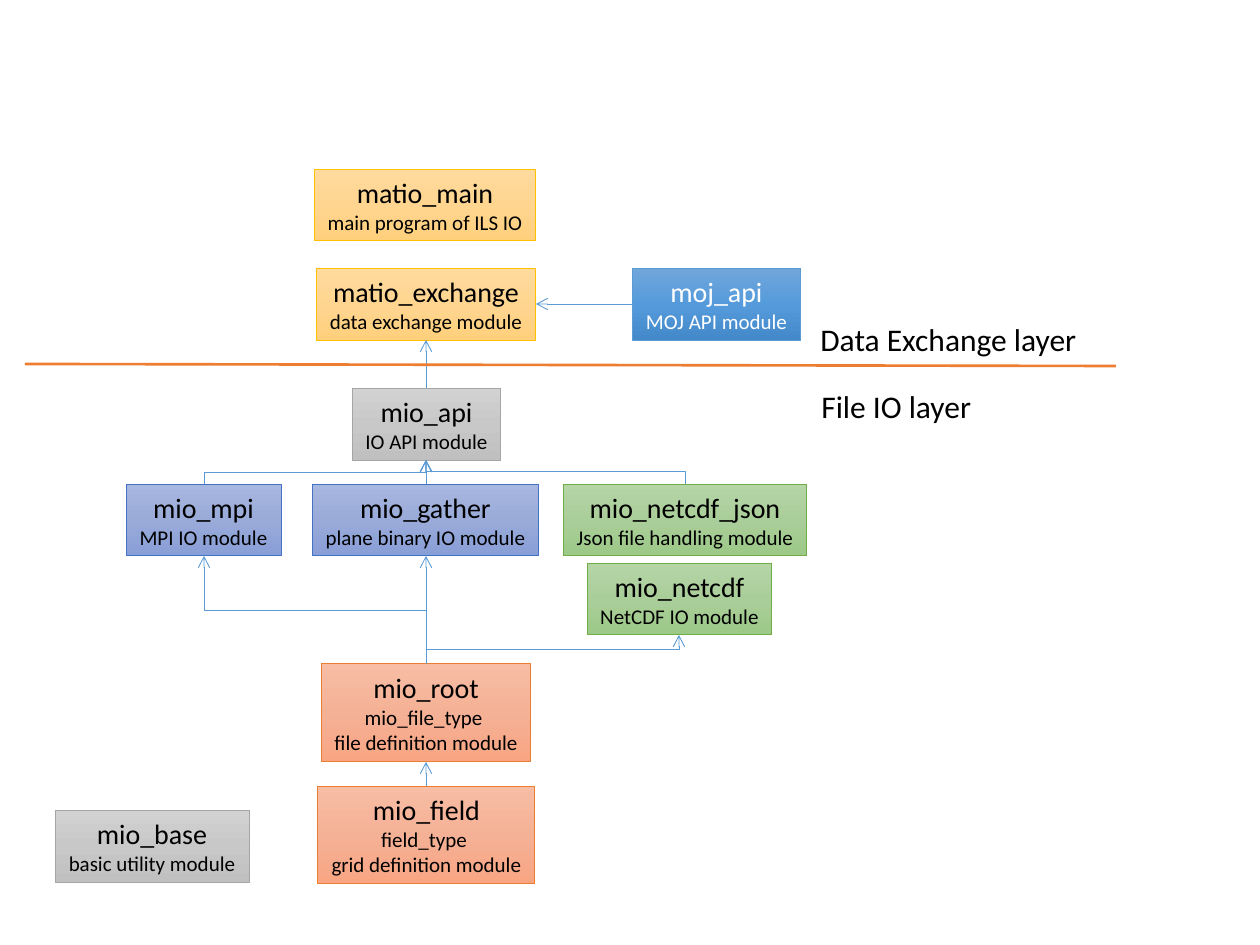
from copy import deepcopy
from dataclasses import dataclass

from lxml.etree import SubElement
from pptx import Presentation
from pptx.dml.color import RGBColor
from pptx.enum.shapes import MSO_CONNECTOR, MSO_SHAPE
from pptx.enum.text import MSO_ANCHOR, MSO_AUTO_SIZE, PP_ALIGN
from pptx.oxml.ns import qn
from pptx.util import Inches, Pt

PIXELS_PER_INCH = 126


@dataclass(frozen=True)
class Palette:
    """Outline, text and gradient colours of one kind of module."""
    outline: str
    gradient: tuple
    text: str = "000000"


class Theme:
    """Colours, font and type sizes of the diagram."""
    font = "Calibri"
    name_size, detail_size, layer_size = 16, 12, 18
    text = "000000"
    arrow, divider = "5B9BD5", "ED7D31"
    thin, thick = 0.5, 1.5
    gray = Palette("A5A5A5", ("D2D2D2", "C8C8C8", "C0C0C0"))
    indigo = Palette("4472C4", ("A8B7DF", "9AABD9", "889ED7"))
    green = Palette("70AD47", ("B5D5A7", "AACE9A", "9CC987"))
    orange = Palette("ED7D31", ("F7BDA5", "F5B196", "F8A582"))
    gold = Palette("FFC000", ("FFDB9E", "FFD590", "FFD07C"))
    blue = Palette("5B9BD5", ("71A6DB", "559BDB", "448ACA"), "FFFFFF")


def scale(pixels):
    """Turn pixels into EMU."""
    return Inches(pixels / PIXELS_PER_INCH)


class Diagram:
    """Draws module boxes, arrows and labels on one slide."""

    def __init__(self, slide, theme):
        self.shapes = slide.shapes
        self.theme = theme

    def set_text(self, shape, lines, sizes, color, alignment):
        """Put one paragraph per line into a shape."""
        frame = shape.text_frame
        frame.text = "\n".join(lines)
        frame.word_wrap = False
        frame.auto_size = MSO_AUTO_SIZE.SHAPE_TO_FIT_TEXT
        for paragraph, size in zip(frame.paragraphs, sizes):
            paragraph.alignment = alignment
            for run in paragraph.runs:
                run.font.name = self.theme.font
                run.font.size = Pt(size)
                run.font.color.rgb = RGBColor.from_string(color)

    def module(self, left, top, width, height, palette, *lines):
        """Draw a module box with its name and description."""
        shape = self.shapes.add_shape(
            MSO_SHAPE.RECTANGLE, *map(scale, (left, top, width, height)))
        shape.shadow.inherit = False
        shape.line.color.rgb = RGBColor.from_string(palette.outline)
        shape.line.width = Pt(self.theme.thin)
        shape.fill.gradient()
        shape.fill.gradient_angle = 270
        stop_list = next(shape.element.iter(qn("a:gsLst")))
        stop_list.insert(1, deepcopy(stop_list[0]))
        for index, stop in enumerate(shape.fill.gradient_stops):
            stop.position = index / 2
            stop.color.rgb = RGBColor.from_string(palette.gradient[index])
        sizes = [self.theme.name_size] + [self.theme.detail_size] * (len(lines) - 1)
        self.set_text(shape, lines, sizes, palette.text, PP_ALIGN.CENTER)
        shape.text_frame.vertical_anchor = MSO_ANCHOR.MIDDLE

    def label(self, left, top, width, height, text):
        """Add a layer name."""
        box = self.shapes.add_textbox(*map(scale, (left, top, width, height)))
        self.set_text(box, [text], [self.theme.layer_size], self.theme.text, PP_ALIGN.LEFT)

    def line(self, start, end, color, width, kind=MSO_CONNECTOR.STRAIGHT):
        """Draw a plain connector."""
        connector = self.shapes.add_connector(kind, *map(scale, (*start, *end)))
        connector.line.color.rgb = RGBColor.from_string(color)
        connector.line.width = Pt(width)
        SubElement(connector.element.spPr, qn("a:effectLst"))
        return connector

    def arrow(self, start, end):
        """Draw an arrow, bent halfway up when it changes column and row."""
        (x1, y1), (x2, y2) = start, end
        style = self.theme.arrow, self.theme.thin
        if x1 == x2 or y1 == y2:
            connector = self.line(start, end, *style)
        else:
            middle_x, middle_y = (x1 + x2) / 2, (y1 + y2) / 2
            run, rise = (x2 - x1) / 2, (y1 - y2) / 2
            connector = self.line((middle_x - rise, middle_y - run),
                                  (middle_x + rise, middle_y + run),
                                  *style, MSO_CONNECTOR.ELBOW)
            connector.element.spPr.find(qn("a:xfrm")).set("rot", "16200000")
        outline = connector.element.spPr.find(qn("a:ln"))
        SubElement(outline, qn("a:tailEnd"), type="arrow")


presentation = Presentation()
presentation.slide_width, presentation.slide_height = Inches(10), Inches(7.5)
slide = presentation.slides.add_slide(presentation.slide_layouts[6])
theme = Theme()
diagram = Diagram(slide, theme)

SHORT, TALL = 72, 98
IO_ROW = 484
for module in (
    (55, 810, 194, SHORT, theme.gray, "mio_base", "basic utility module"),
    (126, IO_ROW, 155, SHORT, theme.indigo, "mio_mpi", "MPI IO module"),
    (312, IO_ROW, 227, SHORT, theme.indigo, "mio_gather", "plane binary IO module"),
    (587, 563, 185, SHORT, theme.green, "mio_netcdf", "NetCDF IO module"),
    (563, IO_ROW, 244, SHORT, theme.green, "mio_netcdf_json", "Json file handling module"),
    (352, 388, 149, SHORT, theme.gray, "mio_api", "IO API module"),
    (318, 786, 217, TALL, theme.orange, "mio_field", "field_type ", "grid definition module"),
    (321, 664, 210, TALL, theme.orange, "mio_root", "mio_file_type ", "file definition module"),
    (316, 268, 220, SHORT, theme.gold, "matio_exchange", "data exchange module"),
    (314, 169, 222, SHORT, theme.gold, "matio_main", "main program of ILS IO"),
    (632, 268, 169, SHORT, theme.blue, "moj_api", "MOJ API module"),
):
    diagram.module(*module)

SPINE, MPI, NETCDF, JSON = 426, 204, 679, 685
API_BOTTOM, ROOT_TOP = 460, 664
for column in (MPI, SPINE, JSON):
    diagram.arrow((column, IO_ROW), (SPINE, API_BOTTOM))
for column, bottom in ((MPI, 556), (SPINE, 556), (NETCDF, 635)):
    diagram.arrow((SPINE, ROOT_TOP), (column, bottom))
diagram.arrow((SPINE, 786), (SPINE, 762))
diagram.arrow((SPINE, 388), (SPINE, 340))
diagram.arrow((632, 304), (536, 304))

diagram.line((25, 364), (1116, 366), theme.divider, theme.thick)
diagram.label(808, 314, 285, 51, "Data Exchange layer")
diagram.label(809, 381, 176, 51, "File IO layer")

presentation.save("out.pptx")
